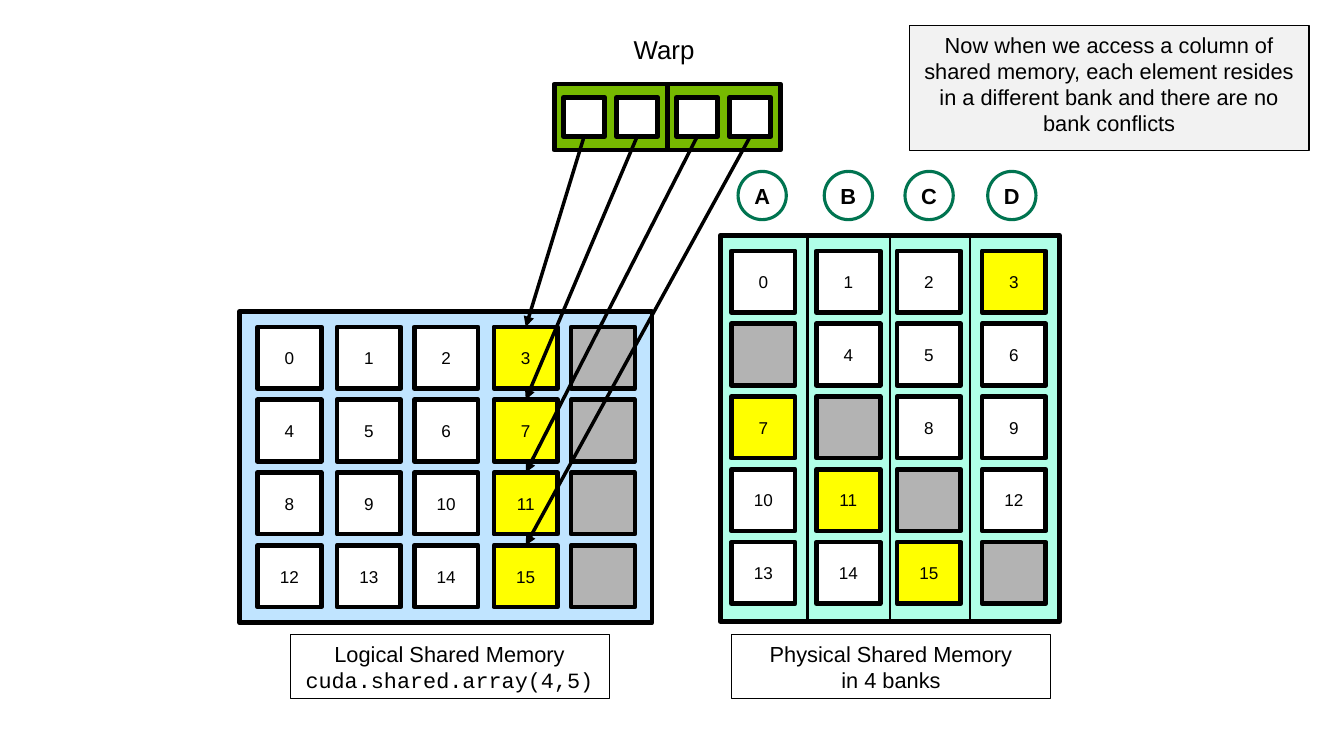
from lxml.etree import SubElement
from pptx import Presentation
from pptx.dml.color import RGBColor
from pptx.enum.shapes import MSO_CONNECTOR as Connector, MSO_SHAPE as Shape
from pptx.enum.text import MSO_ANCHOR as Anchor, PP_ALIGN as Align
from pptx.oxml.ns import qn
from pptx.util import Pt

BLACK, WHITE, YELLOW, GRAY = "000000", "FFFFFF", "FFFF00", "B3B3B3"
CELL_WIDTH, CELL_HEIGHT, ROW_PITCH = 41, 39.6, 46.8
LOGICAL_COLUMNS = (165.6, 216.7, 266.4, 317.5, 367.2)
BANK_COLUMNS = (470.2, 524.9, 576.7, 631.4)
BANK_LABELS = {"A": 474.5, "B": 529.9, "C": 581.8, "D": 635}
DIVIDERS = (519.1, 572, 623.5)


def color(value):
    """Turn a hex string into a colour."""
    return RGBColor.from_string(value)


def add_box(parent, box, fill=None, line=BLACK, weight=3, kind=Shape.RECTANGLE):
    """Add a preset shape with a plain fill and outline."""
    shape = parent.add_shape(kind, *map(Pt, box))
    shape.shadow.inherit = False
    if fill:
        shape.fill.solid()
        shape.fill.fore_color.rgb = color(fill)
    else:
        shape.fill.background()
    shape.line.color.rgb = color(line)
    shape.line.width = Pt(weight)
    return shape


def write(shape, lines, size, bold=False, align=Align.CENTER, anchor=Anchor.TOP):
    """Write (text, font) lines into a shape, one paragraph each."""
    frame = shape.text_frame
    frame.word_wrap = True
    frame.vertical_anchor = anchor
    for index, (text, font) in enumerate(lines):
        paragraph = frame.add_paragraph() if index else frame.paragraphs[0]
        paragraph.alignment = align
        run = paragraph.add_run()
        run.text = text
        run.font.name = font
        run.font.size = Pt(size)
        run.font.bold = bold
        run.font.color.rgb = color(BLACK)


def write_label(shape, text, size, bold=False):
    """Centre a short label in a shape without margins."""
    write(shape, [(text, "Arial")], size, bold, anchor=Anchor.MIDDLE)
    frame = shape.text_frame
    frame.margin_left = frame.margin_right = frame.margin_top = frame.margin_bottom = 0


def add_line(slide, start, end, weight):
    """Add a straight black line without a shadow."""
    line = slide.shapes.add_connector(Connector.STRAIGHT, *map(Pt, start + end))
    line.line.color.rgb = color(BLACK)
    line.line.width = Pt(weight)
    SubElement(line._element.spPr, qn("a:effectLst"))
    return line


def add_arrow(slide, thread, cell):
    """Point an arrow from a thread to the memory cell it reads."""
    arrow = add_line(slide, (0, 0), (0, 0), 2.25)
    arrow.begin_connect(thread, 2)
    arrow.end_connect(cell, 0)
    SubElement(arrow.line._get_or_add_ln(), qn("a:tailEnd"), type="triangle")


def add_memory(slide, columns, top, numbers):
    """Lay numbers out row by row, with gray padding for None, and return the cells."""
    cells = {}
    for index, number in enumerate(numbers):
        row, column = divmod(index, len(columns))
        box = (columns[column], top + row * ROW_PITCH, CELL_WIDTH, CELL_HEIGHT)
        if number is None:
            add_box(slide.shapes, box, GRAY)
            continue
        cells[number] = add_box(slide.shapes, box, YELLOW if number % 4 == 3 else WHITE)
        write_label(cells[number], str(number), 11)
    return cells


def add_warp(slide):
    """Add the warp with its title and return its four threads."""
    title = slide.shapes.add_textbox(*map(Pt, (400.3, 18, 68.4, 27.4)))
    write(title, [("Warp", "Arial")], 16.6, align=Align.LEFT)
    group = slide.shapes.add_group_shape()
    threads = []
    for left in (356.4, 429.1):
        add_box(group.shapes, (left, 54, 72.7, 42.5), "76B900")
        for offset in (5.8, 39.9):
            threads.append(add_box(group.shapes, (left + offset, 62.6, 26.6, 25.2), WHITE))
    return threads


def add_caption(slide, left, lines):
    """Add a thinly outlined caption below a memory block."""
    write(add_box(slide.shapes, (left, 408.2, 205.2, 41), weight=0.75), lines, 14)


def main():
    """Build the slide and save it."""
    presentation = Presentation()
    presentation.slide_width, presentation.slide_height = Pt(864), Pt(486)
    slide = presentation.slides.add_slide(presentation.slide_layouts[6])

    note = add_box(slide.shapes, (584.6, 16.6, 257, 79.9), "F2F2F2", weight=0.75)
    write(note, [("Now when we access a column of shared memory, each element resides "
                  "in a different bank and there are no bank conflicts", "Arial")], 14)
    threads = add_warp(slide)

    padded = [number for row in range(4) for number in (*range(row * 4, row * 4 + 4), None)]
    add_box(slide.shapes, (154.1, 200.2, 265, 200.2), "C0E4FF")
    logical = add_memory(slide, LOGICAL_COLUMNS, 210.2, padded)
    add_caption(slide, 186.5, [("Logical Shared Memory", "Arial"),
                               ("cuda.shared.array(4,5)", "Courier New")])

    add_box(slide.shapes, (463, 151.2, 218.2, 248.4), "B0FFE7")
    for x in DIVIDERS:
        add_line(slide, (x, 151.2), (x, 398.9), 1.5)
    add_memory(slide, BANK_COLUMNS, 161.3, padded)
    add_caption(slide, 470.2, [("Physical Shared Memory", "Arial"), ("in 4 banks", "Arial")])
    for name, left in BANK_LABELS.items():
        bank = add_box(slide.shapes, (left, 110.2, 31, 31), None, "007450", 2, Shape.OVAL)
        write_label(bank, name, 14, bold=True)

    for thread, number in zip(threads, range(3, 16, 4)):
        add_arrow(slide, thread, logical[number])
    presentation.save("out.pptx")


if __name__ == "__main__":
    main()
